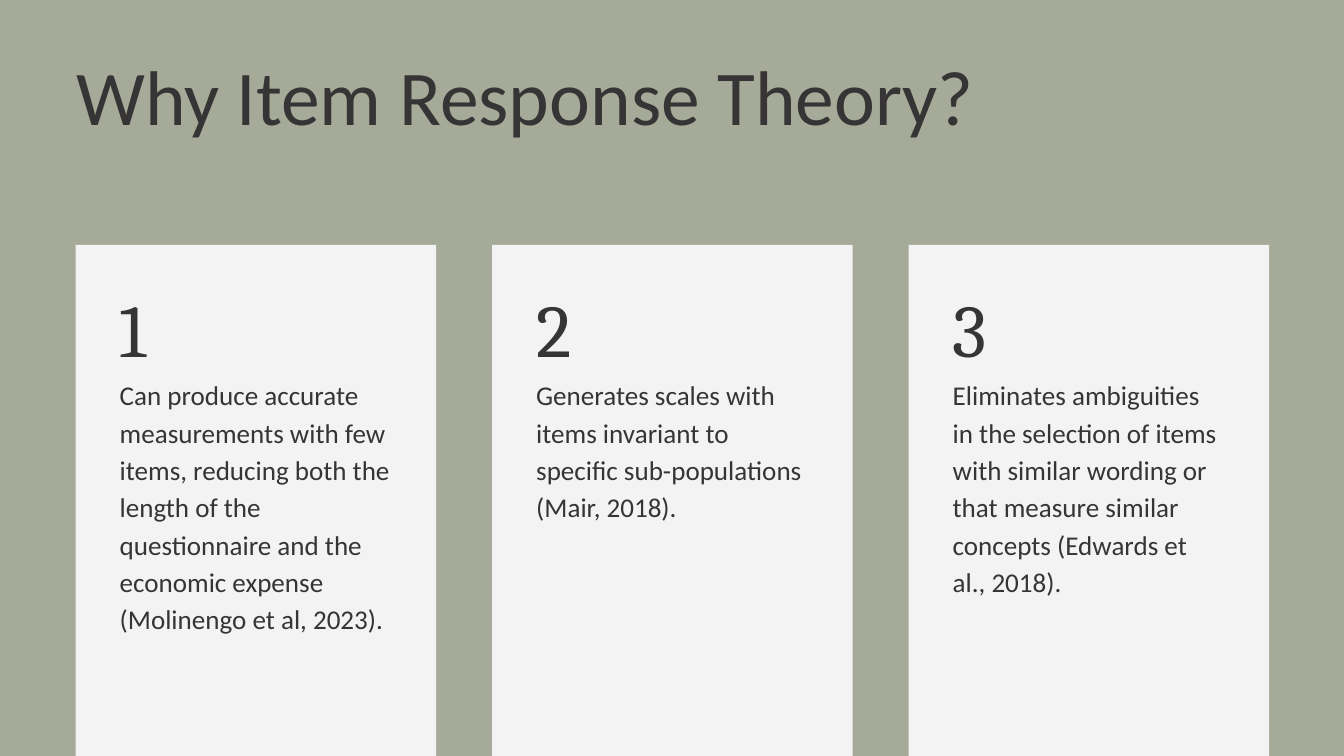
from pptx import Presentation
from pptx.dml.color import RGBColor
from pptx.enum.shapes import MSO_SHAPE
from pptx.enum.text import MSO_AUTO_SIZE
from pptx.util import Emu, Pt

RECTANGLE = MSO_SHAPE.RECTANGLE
GROW = MSO_AUTO_SIZE.SHAPE_TO_FIT_TEXT
PX = 9525  # EMU per px, 96 px to the inch

COLORS = {"background": "A6AA98", "card": "F3F3F3", "text": "363434"}

# Card grid
CARD_LEFT, CARD_TOP = 108, 350
CARD_WIDTH, CARD_HEIGHT = 515, 730
CARD_PITCH = 595
CARD_PADDING = 63
TEXT_WIDTH = 390

# Reason and the height of its text box
REASONS = [
    ("Can produce accurate measurements with few items, reducing both the "
     "length of the questionnaire and the economic expense "
     "(Molinengo et al, 2023).", 427),
    ("Generates scales with items invariant to specific sub-populations "
     "(Mair, 2018).", 269),
    ("Eliminates ambiguities in the selection of items with similar wording "
     "or that measure similar concepts (Edwards et al., 2018).", 377),
]


def px(*lengths):
    return [Emu(length * PX) for length in lengths]


def color(name):
    return RGBColor.from_string(COLORS[name])


def add_card(slide, left):
    card = slide.shapes.add_shape(
        RECTANGLE, *px(left, CARD_TOP, CARD_WIDTH, CARD_HEIGHT))
    card.shadow.inherit = False
    card.fill.solid()
    card.fill.fore_color.rgb = color("card")
    card.line.fill.background()


def add_text(slide, text, box, size, line_height, font_name="Calibri"):
    frame = slide.shapes.add_textbox(*px(*box)).text_frame
    frame.margin_left = frame.margin_right = 0
    frame.margin_top = frame.margin_bottom = 0
    frame.word_wrap = True
    frame.auto_size = GROW
    frame.text = text
    paragraph = frame.paragraphs[0]
    paragraph.line_spacing = Pt(line_height)
    font = paragraph.runs[0].font
    font.name = font_name
    font.size = Pt(size)
    font.color.rgb = color("text")


def add_reason(slide, index, reason, height):
    left = CARD_LEFT + index * CARD_PITCH
    text_left = left + CARD_PADDING
    add_card(slide, left)
    add_text(slide, str(index + 1), (text_left, 351, TEXT_WIDTH, 169),
             80, 136, "Cambria")
    add_text(slide, reason, (text_left, 534, TEXT_WIDTH, height), 29, 40)


def main():
    prs = Presentation()
    prs.slide_width, prs.slide_height = px(1920, 1080)
    slide = prs.slides.add_slide(prs.slide_layouts[6])
    slide.background.fill.solid()
    slide.background.fill.fore_color.rgb = color("background")

    # Title
    add_text(slide, "Why Item Response Theory?", (109, 46, 1811, 150),
             83, 116.2)

    # Numbered reasons
    for index, (reason, height) in enumerate(REASONS):
        add_reason(slide, index, reason, height)

    prs.save("out.pptx")


if __name__ == "__main__":
    main()
